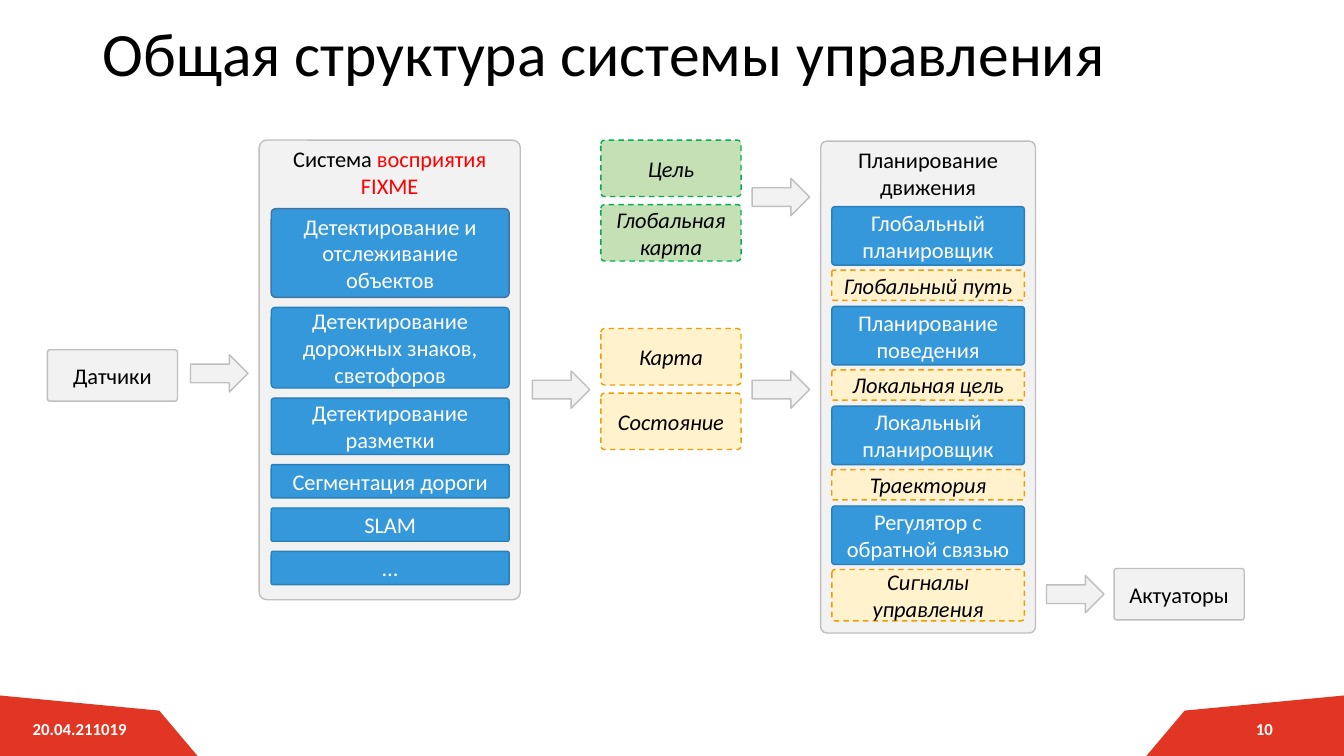
from dataclasses import dataclass

from pptx import Presentation
from pptx.dml.color import RGBColor
from pptx.enum.dml import MSO_LINE
from pptx.enum.shapes import MSO_SHAPE
from pptx.enum.text import MSO_ANCHOR, PP_ALIGN
from pptx.util import Emu, Pt

ROUNDED = MSO_SHAPE.ROUNDED_RECTANGLE
RIGHT_ARROW = MSO_SHAPE.RIGHT_ARROW
DASH = MSO_LINE.DASH
LEFT, CENTER = PP_ALIGN.LEFT, PP_ALIGN.CENTER
TOP, MIDDLE = MSO_ANCHOR.TOP, MSO_ANCHOR.MIDDLE

EMU_PER_PX = 9144  # 100 px to the inch
SLIDE_WIDTH, SLIDE_HEIGHT = 1333, 750
BLANK_LAYOUT = 6


@dataclass(frozen=True)
class Style:
    fill: str
    line: str
    text: str = "000000"
    dashed: bool = False
    corner: float = 0.05


@dataclass(frozen=True)
class Theme:
    font: str = "Calibri"
    title_size: int = 44
    body_size: int = 16
    footer_size: int = 12
    black: str = "000000"
    white: str = "FFFFFF"
    alert: str = "FF0000"
    footer: str = "E03623"
    panel: Style = Style("F2F2F2", "BFBFBF", corner=0.029)
    device: Style = Style("F2F2F2", "BFBFBF")
    module: Style = Style("3498DB", "2980B9", "FFFFFF")
    lead_module: Style = Style("3498DB", "43739E", "FFFFFF")
    data: Style = Style("FFF2CC", "F39C01", dashed=True, corner=0.065)
    goal: Style = Style("C5E0B4", "00B050", dashed=True, corner=0.065)


THEME = Theme()

PERCEPTION_MODULES = [
    ("Детектирование и отслеживание объектов", 88, THEME.lead_module),
    ("Детектирование дорожных знаков, светофоров", 80, THEME.module),
    ("Детектирование разметки", 56, THEME.module),
    ("Сегментация дороги", 33, THEME.module),
    ("SLAM", 33, THEME.module),
    ("…", 33, THEME.module),
]
# Each planner with the data it produces and the height of that data box
PLANNING_STAGES = [
    ("Глобальный планировщик", "Глобальный путь", 30),
    ("Планирование поведения", "Локальная цель", 30),
    ("Локальный планировщик", "Траектория", 30),
    ("Регулятор с обратной связью", "Сигналы управления", 51),
]
ARROWS = [(189, 352), (528, 368), (746, 177), (746, 368), (1038, 571)]


def px(*lengths):
    return [Emu(length * EMU_PER_PX) for length in lengths]


def rgb(color):
    return RGBColor.from_string(color)


def write(shape, text, size=THEME.body_size, color=THEME.black, bold=False,
          italic=False, align=CENTER, anchor=MIDDLE, spacing=None):
    """Text is a string, or a list of paragraphs made of (words, color) runs."""
    paragraphs = [[(text, color)]] if isinstance(text, str) else text
    frame = shape.text_frame
    frame.word_wrap = True
    frame.vertical_anchor = anchor
    for index, runs in enumerate(paragraphs):
        paragraph = frame.add_paragraph() if index else frame.paragraphs[0]
        paragraph.alignment = align
        if spacing:
            paragraph.line_spacing = spacing
        for words, run_color in runs:
            run = paragraph.add_run()
            run.text = words
            font = run.font
            font.name, font.size = THEME.font, Pt(size)
            font.bold, font.italic = bold, italic
            font.color.rgb = rgb(run_color)


def add_label(shapes, text, box, **text_format):
    write(shapes.add_textbox(*px(*box)), text, **text_format)


def add_preset(shapes, preset, box, style):
    shape = shapes.add_shape(preset, *px(*box))
    shape.shadow.inherit = False
    shape.fill.solid()
    shape.fill.fore_color.rgb = rgb(style.fill)
    shape.line.color.rgb = rgb(style.line)
    shape.line.width = Pt(1)
    if style.dashed:
        shape.line.dash_style = DASH
    return shape


def add_box(shapes, box, style, text=None):
    shape = add_preset(shapes, ROUNDED, box, style)
    shape.adjustments[0] = style.corner
    if text:
        write(shape, text, color=style.text, italic=style.dashed)


def add_arrow(shapes, left, top):
    add_preset(shapes, RIGHT_ARROW, (left, top, 57, 37), THEME.device)


def add_footer_corner(shapes, points):
    builder = shapes.build_freeform(*points[0], scale=EMU_PER_PX)
    builder.add_line_segments(points[1:], close=True)
    corner = builder.convert_to_shape()
    corner.shadow.inherit = False
    corner.fill.solid()
    corner.fill.fore_color.rgb = rgb(THEME.footer)
    corner.line.fill.background()


def add_footer(shapes, date, number):
    outline = [(0, 750), (0, 690), (158, 705), (196, 750)]
    add_footer_corner(shapes, outline)
    add_footer_corner(shapes, [(SLIDE_WIDTH - x, y) for x, y in outline])
    for text, left in ((date, 0), (number, SLIDE_WIDTH - 158)):
        add_label(shapes, text, (left, 695, 158, 55),
                  size=THEME.footer_size, color=THEME.white, bold=True)


def add_panel(shapes, box, heading):
    left, top, width, _ = box
    add_box(shapes, box, THEME.panel)
    add_label(shapes, heading, (left, top, width, 64), anchor=TOP)


def add_perception(shapes):
    heading = [[("Система ", THEME.black), ("восприятия", THEME.alert)],
               [("FIXME", THEME.alert)]]
    add_panel(shapes, (257, 139, 259, 456), heading)
    top = 207
    for text, height, style in PERCEPTION_MODULES:
        add_box(shapes, (269, top, 236, height), style, text)
        top += height + 10


def add_planning(shapes):
    add_panel(shapes, (814, 140, 213, 488), "Планирование движения")
    for index, (planner, result, height) in enumerate(PLANNING_STAGES):
        top = 205 + 99 * index
        add_box(shapes, (825, top, 191, 58), THEME.module, planner)
        add_box(shapes, (825, top + 63, 191, height), THEME.data, result)


def add_inputs(shapes, top, style, names):
    for index, name in enumerate(names):
        add_box(shapes, (596, top + 64 * index, 139, 56), style, name)


def main():
    presentation = Presentation()
    presentation.slide_width, presentation.slide_height = px(
        SLIDE_WIDTH, SLIDE_HEIGHT)
    slide = presentation.slides.add_slide(
        presentation.slide_layouts[BLANK_LAYOUT])
    shapes = slide.shapes

    # Title and footer
    add_footer(shapes, "20.04.211019", "10")
    add_label(shapes, "Общая структура системы управления",
              (92, 14, 1150, 84), size=THEME.title_size, align=LEFT,
              spacing=0.9)

    # Subsystems and the data between them
    add_perception(shapes.add_group_shape().shapes)
    add_inputs(shapes.add_group_shape().shapes, 139, THEME.goal,
               ["Цель", "Глобальная карта"])
    add_inputs(shapes.add_group_shape().shapes, 326, THEME.data,
               ["Карта", "Состояние"])
    add_planning(shapes.add_group_shape().shapes)

    # Devices at both ends, and the flow
    add_box(shapes, (47, 347, 129, 51), THEME.device, "Датчики")
    add_box(shapes, (1105, 564, 129, 51), THEME.device, "Актуаторы")
    for left, top in ARROWS:
        add_arrow(shapes, left, top)

    presentation.save("out.pptx")


if __name__ == "__main__":
    main()
